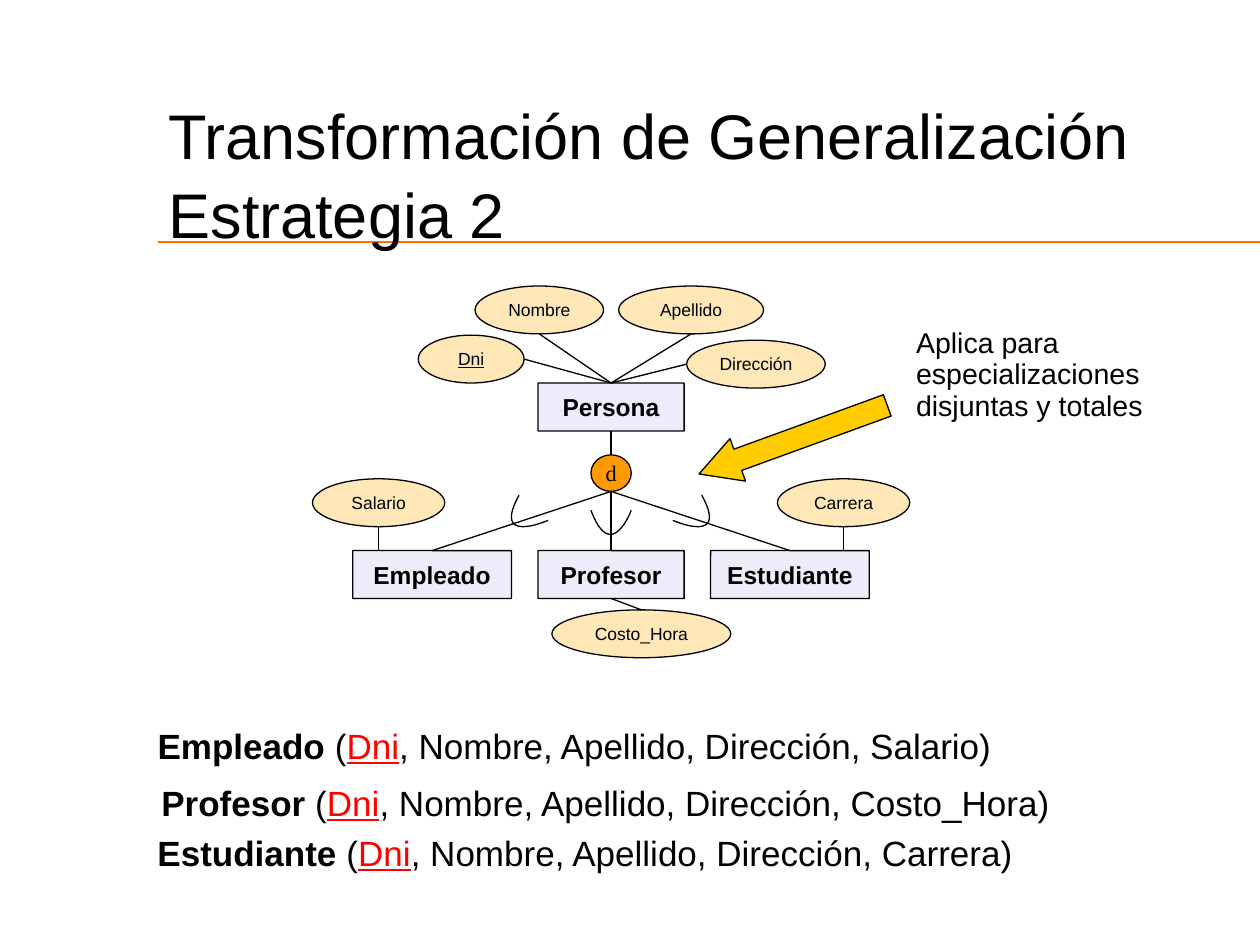
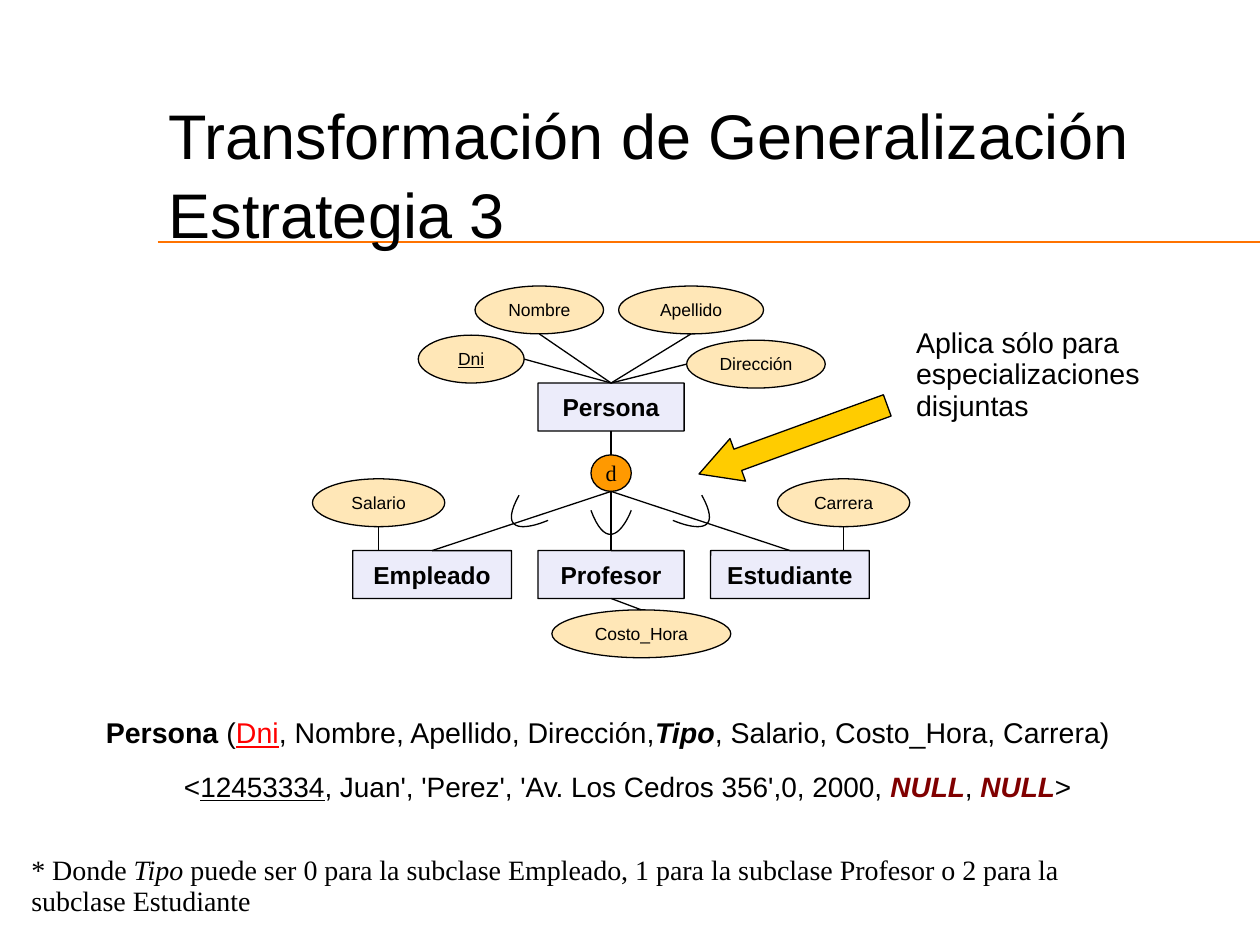
import dataclasses
import typing

import pptx
import pptx.dml.color
import pptx.enum.shapes
import pptx.enum.text
import pptx.oxml.ns
import pptx.util
from lxml import etree

EMU_PER_PX = 9144  # 100 px to the inch
COLORS = {
    "text": "000000",
    "outline": "000000",
    "key": "FF0000",
    "null": "800000",
    "rule": "FF7300",
    "entity": "ECECFA",
    "attribute": "FFE7B7",
    "disjoint": "FF9900",
    "arrow": "FFCC00",
}
SANS, SERIF = "Arial", "Times New Roman"
TIGHT = 0.93
LINE_WIDTH = pptx.util.Pt(0.75)
SHAPES = pptx.enum.shapes.MSO_SHAPE
ALIGN = pptx.enum.text.PP_ALIGN
ANCHOR = pptx.enum.text.MSO_ANCHOR
TOP, LEFT, BOTTOM, RIGHT = range(4)


class Span(typing.NamedTuple):
    text: str
    bold: bool = False
    italic: bool = False
    underline: bool = False
    color: str = "text"


class Box(typing.NamedTuple):
    left: int
    top: int
    width: int
    height: int


class Style(typing.NamedTuple):
    size: float
    font: str = SANS
    spacing: float = TIGHT
    before: float = 0
    insets: tuple[int, int, int, int] = (9, 6, 9, 4)
    align: ALIGN = ALIGN.LEFT
    anchor: ANCHOR = ANCHOR.TOP
    wrap: bool = True


class Kind(typing.NamedTuple):
    preset: SHAPES
    fill: str
    style: Style


class Node(typing.NamedTuple):
    label: Span
    kind: Kind
    box: Box


class Link(typing.NamedTuple):
    """Joins two node sides; without an end side it drops straight to the end's top."""
    begin: str
    begin_side: int
    end: str
    end_side: int | None = TOP


class Arc(typing.NamedTuple):
    start: tuple[int, int]
    control: tuple[int, int]
    end: tuple[int, int]


Paragraphs = list[list[Span]]


@dataclasses.dataclass
class TextBlock:
    box: Box
    style: Style
    paragraphs: Paragraphs


@dataclasses.dataclass
class StrategyPage:
    number: int
    callout: list[str]
    blocks: list[TextBlock]


TITLE = Style(36, spacing=1, before=1.5, insets=(10, 1, 10, 5))
CALLOUT = Style(16.3)
RELATION = Style(20)
LABEL = Style(10, insets=(9, 5, 9, 4), align=ALIGN.CENTER, anchor=ANCHOR.MIDDLE, wrap=False)
ENTITY = Kind(SHAPES.ROUNDED_RECTANGLE, "entity", LABEL._replace(size=14, insets=(9, 6, 9, 4)))
ATTRIBUTE = Kind(SHAPES.OVAL, "attribute", LABEL)
DISJOINT = Kind(SHAPES.OVAL, "disjoint", LABEL._replace(size=12.7, font=SERIF))
NODE_HEIGHT = 38


def entity(name: str, left: int, top: int, width: int) -> Node:
    return Node(Span(name, bold=True), ENTITY, Box(left, top, width, NODE_HEIGHT))


def attribute(name: str, left: int, top: int, width: int, key: bool = False) -> Node:
    return Node(Span(name, underline=key), ATTRIBUTE, Box(left, top, width, NODE_HEIGHT))


NODES = [
    entity("Persona", 427, 304, 116),
    attribute("Dni", 332, 266, 84, key=True),
    attribute("Nombre", 377, 227, 102),
    attribute("Apellido", 491, 227, 115),
    attribute("Dirección", 545, 270, 110),
    Node(Span("d"), DISJOINT, Box(469, 361, 32, 29)),
    entity("Empleado", 280, 437, 126),
    entity("Estudiante", 564, 437, 126),
    entity("Profesor", 427, 437, 116),
    attribute("Salario", 248, 380, 105),
    attribute("Carrera", 617, 380, 105),
    attribute("Costo_Hora", 438, 484, 142),
]
LINKS = [
    Link("Dni", RIGHT, "Persona"),
    Link("Nombre", BOTTOM, "Persona"),
    Link("Apellido", BOTTOM, "Persona"),
    Link("Dirección", LEFT, "Persona"),
    Link("Persona", BOTTOM, "d"),
    Link("d", BOTTOM, "Empleado"),
    Link("d", BOTTOM, "Profesor"),
    Link("d", BOTTOM, "Estudiante"),
    Link("Carrera", BOTTOM, "Estudiante", None),
    Link("Salario", BOTTOM, "Empleado", None),
    Link("Costo_Hora", TOP, "Profesor", BOTTOM),
]
SUBSET_ARCS = [
    Arc((469, 405), (485, 448), (501, 405)),
    Arc((412, 393), (390, 433), (435, 413)),
    Arc((557, 393), (579, 433), (534, 413)),
]


def relation(name: str, own_attribute: str, box: Box) -> TextBlock:
    return TextBlock(box, RELATION, [[
        Span(name, bold=True),
        Span(" ("),
        Span("Dni", underline=True, color="key"),
        Span(f", Nombre, Apellido, Dirección, {own_attribute})"),
    ]])


NULL = Span("NULL", bold=True, italic=True, color="null")
PAGES = [
    StrategyPage(2, ["Aplica para", "especializaciones", "disjuntas y totales"], [
        relation("Empleado", "Salario", Box(116, 572, 715, 40)),
        relation("Profesor", "Costo_Hora", Box(119, 617, 757, 40)),
        relation("Estudiante", "Carrera", Box(116, 657, 730, 40)),
    ]),
    StrategyPage(3, ["Aplica sólo para", "especializaciones", "disjuntas"], [
        TextBlock(Box(75, 564, 846, 35), CALLOUT, [[
            Span("Persona", bold=True),
            Span(" ("),
            Span("Dni", underline=True, color="key"),
            Span(", Nombre, Apellido, Dirección,"),
            Span("Tipo", bold=True, italic=True),
            Span(", Salario, Costo_Hora, Carrera)"),
        ]]),
        TextBlock(Box(137, 606, 757, 49), Style(16, insets=(9, 7, 9, 4)), [[
            Span("<"),
            Span("12453334", underline=True),
            Span(", Juan', 'Perez', 'Av. Los Cedros 356',0, 2000, "),
            NULL,
            Span(", "),
            NULL,
            Span(">"),
        ]]),
        TextBlock(Box(15, 674, 871, 60), Style(16, SERIF, insets=(10, 5, 10, 5)), [[
            Span("* Donde "),
            Span("Tipo", italic=True),
            Span(" puede ser 0 para la subclase Empleado, 1 para la subclase Profesor"
                 " o 2 para la subclase Estudiante"),
        ]]),
    ]),
]


def px(length: float) -> int:
    return round(length * EMU_PER_PX)


def rgb(color: str) -> pptx.dml.color.RGBColor:
    return pptx.dml.color.RGBColor.from_string(COLORS[color])


def write(frame, paragraphs: Paragraphs, style: Style) -> None:
    frame.word_wrap = style.wrap
    frame.vertical_anchor = style.anchor
    (frame.margin_left, frame.margin_top,
     frame.margin_right, frame.margin_bottom) = map(px, style.insets)
    for index, spans in enumerate(paragraphs):
        para = frame.add_paragraph() if index else frame.paragraphs[0]
        para.alignment = style.align
        para.line_spacing = style.spacing
        para.space_before = pptx.util.Pt(style.before)
        for span in spans:
            run = para.add_run()
            run.text = span.text
            run.font.name = style.font
            run.font.size = pptx.util.Pt(style.size)
            run.font.bold = span.bold
            run.font.italic = span.italic
            run.font.underline = span.underline
            run.font.color.rgb = rgb(span.color)


def add_text(page, block: TextBlock) -> None:
    box = page.shapes.add_textbox(*map(px, block.box))
    write(box.text_frame, block.paragraphs, block.style)


def outline(shape) -> None:
    shape.shadow.inherit = False
    shape.line.color.rgb = rgb("outline")
    shape.line.width = LINE_WIDTH


def add_filled(page, preset: SHAPES, box: Box, fill: str):
    shape = page.shapes.add_shape(preset, *map(px, box))
    shape.fill.solid()
    shape.fill.fore_color.rgb = rgb(fill)
    outline(shape)
    return shape


def add_line(page, begin: tuple[float, float], end: tuple[float, float], color: str = "outline"):
    line = page.shapes.add_connector(
        pptx.enum.shapes.MSO_CONNECTOR.STRAIGHT, *map(px, (*begin, *end)))
    line.line.color.rgb = rgb(color)
    line.line.width = LINE_WIDTH
    etree.SubElement(line._element.spPr, pptx.oxml.ns.qn("a:effectLst"))
    return line


def add_node(page, node: Node):
    shape = add_filled(page, node.kind.preset, node.box, node.kind.fill)
    if node.kind is ENTITY:
        shape.adjustments[0] = 0.004
    write(shape.text_frame, [[node.label]], node.kind.style)
    return shape


def side_point(box: Box, side: int) -> tuple[float, float]:
    middle_x, middle_y = box.left + box.width / 2, box.top + box.height / 2
    return {
        TOP: (middle_x, box.top),
        LEFT: (box.left, middle_y),
        BOTTOM: (middle_x, box.top + box.height),
        RIGHT: (box.left + box.width, middle_y),
    }[side]


def add_arc(page, arc: Arc, steps: int = 24) -> None:
    """Draws a cubic curve whose second control point lies on its end."""
    points = []
    for step in range(steps + 1):
        t = step / steps
        weights = (1 - t) ** 3, 3 * t * (1 - t) ** 2, 3 * t ** 2 - 2 * t ** 3
        points.append(tuple(
            px(sum(weight * value for weight, value in zip(weights, axis)))
            for axis in zip(*arc)))
    builder = page.shapes.build_freeform(*points[0])
    builder.add_line_segments(points[1:], close=False)
    curve = builder.convert_to_shape()
    curve.fill.background()
    outline(curve)


def add_diagram(page) -> None:
    nodes = {node.label.text: node for node in NODES}
    shapes = {name: add_node(page, node) for name, node in nodes.items()}
    for link in LINKS:
        begin, end = nodes[link.begin], nodes[link.end]
        start = side_point(begin.box, link.begin_side)
        if link.end_side is None:
            add_line(page, start, (start[0], end.box.top))
            continue
        line = add_line(page, start, side_point(end.box, link.end_side))
        if begin.kind is ENTITY:
            line.begin_connect(shapes[link.begin], link.begin_side)
        if end.kind is ENTITY:
            line.end_connect(shapes[link.end], link.end_side)
    for arc in SUBSET_ARCS:
        add_arc(page, arc)
    arrow = add_filled(page, SHAPES.LEFT_ARROW, Box(550, 331, 159, 36), "arrow")
    arrow.adjustments[1] = 0.911
    arrow.rotation = 340


def add_page(deck, content: StrategyPage) -> None:
    page = deck.slides.add_slide(deck.slide_layouts[6])
    add_line(page, (125, 192), (1000, 192), "rule")
    title = ["Transformación de Generalización", f"Estrategia {content.number}"]
    add_text(page, TextBlock(Box(124, 76, 876, 62), TITLE, [[Span(row)] for row in title]))
    add_diagram(page)
    add_text(page, TextBlock(
        Box(718, 254, 242, 85), CALLOUT, [[Span(row)] for row in content.callout]))
    for block in content.blocks:
        add_text(page, block)


def main() -> None:
    deck = pptx.Presentation()
    deck.slide_width, deck.slide_height = px(1000), px(750)
    for content in PAGES:
        add_page(deck, content)
    deck.save("out.pptx")


if __name__ == "__main__":
    main()
